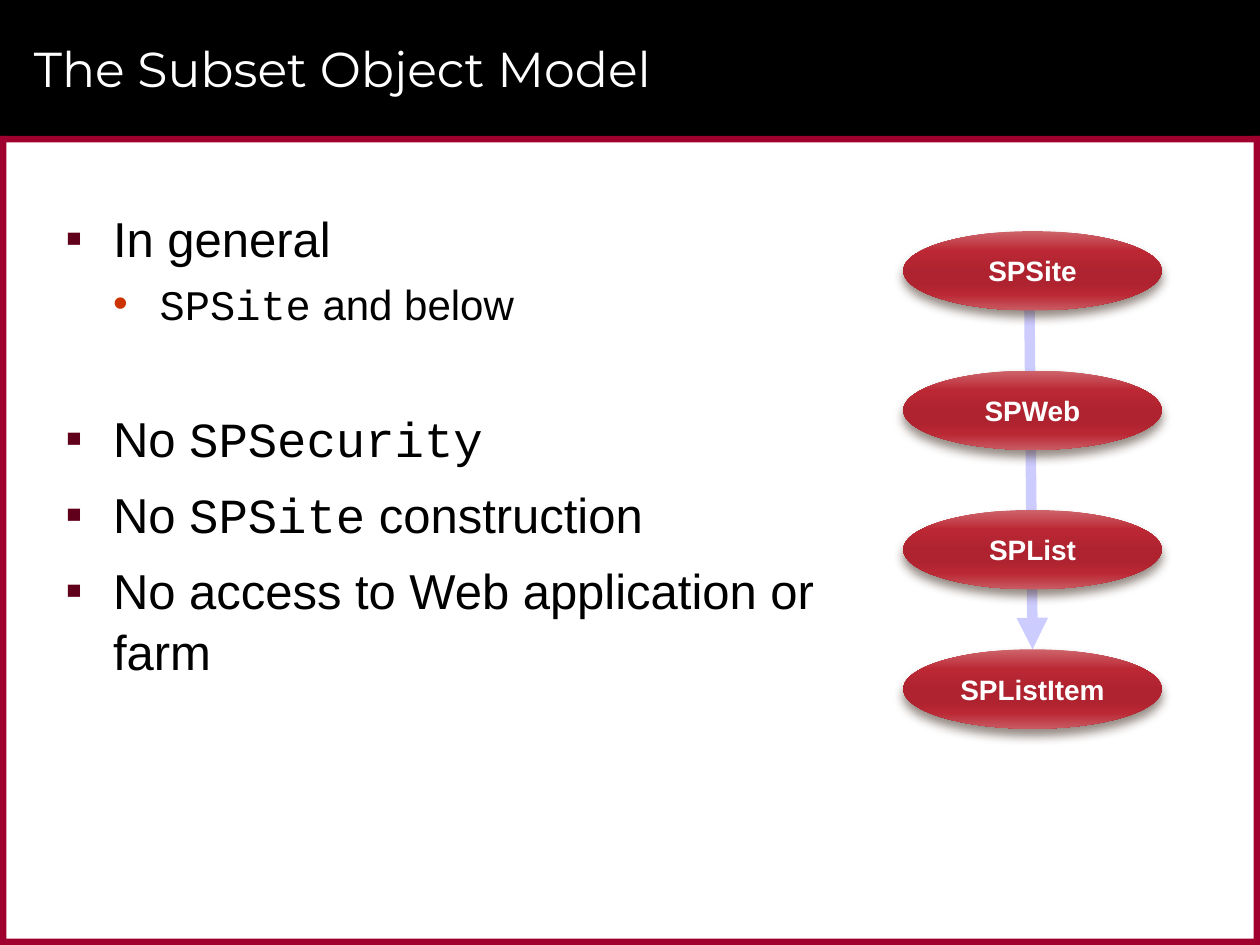
from lxml import etree
from pptx import Presentation
from pptx.dml.color import RGBColor
from pptx.enum import dml, shapes, text
from pptx.oxml import ns
from pptx.util import Cm, Pt

BLACK = RGBColor(0x00, 0x00, 0x00)
WHITE = RGBColor(0xFF, 0xFF, 0xFF)
CRIMSON = RGBColor(0x9F, 0x00, 0x2D)
MAROON = RGBColor(0x60, 0x00, 0x1B)
ORANGE = RGBColor(0xCC, 0x33, 0x00)
LAVENDER = RGBColor(0xCC, 0xCC, 0xFF)
SHADOW = RGBColor(0x4E, 0x3B, 0x30)

TITLE = "The Subset Object Model"
SANS, CODE, TITLE_FONT = "Arial", "Courier New", "Montserrat"

# level, space before in points, runs as (words, font)
BULLETS = [
    (0, 0, [("In general", SANS)]),
    (1, 3, [("SPSite", CODE), (" and below", SANS)]),
    (0, 41, [("No ", SANS), ("SPSecurity", CODE)]),
    (0, 6, [("No ", SANS), ("SPSite", CODE), (" construction", SANS)]),
    (0, 6, [("No access to Web application or farm", SANS)]),
]
# bullet, colour, left margin, hanging indent, size, space after
LEVELS = [
    ("▪", MAROON, Cm(0.96), Cm(0.96), Pt(28), Pt(2)),
    ("•", ORANGE, Cm(1.9), Cm(0.94), Pt(24), Pt(3)),
]
OBJECTS = ["SPSite", "SPWeb", "SPList", "SPListItem"]
GRADIENT = [(0, "CE646B"), (25, "BB2834"), (50, "AE232F"),
            (65, "AE232F"), (80, "BA2834"), (100, "C95B63")]

WIDTH, HEIGHT = Cm(25.4), Cm(19.05)
HEADER, BORDER = Cm(2.74), Cm(0.13)
FRAME = [
    (0, 0, WIDTH, HEADER, BLACK),
    (0, HEADER, WIDTH, BORDER, CRIMSON),
    (0, HEIGHT - BORDER, WIDTH, BORDER, CRIMSON),
    (WIDTH - BORDER, HEADER, BORDER, HEIGHT - HEADER, CRIMSON),
    (0, HEADER, BORDER, HEIGHT - HEADER, CRIMSON),
]
OVAL_LEFT, OVAL_TOP, OVAL_STEP = Cm(18.21), Cm(4.66), Cm(2.81)
OVAL_WIDTH, OVAL_HEIGHT = Cm(5.21), Cm(1.6)


def add_xml(parent, tag, **attributes):
    return etree.SubElement(parent, ns.qn(tag), attributes)


def style(font, name, size, color, bold=False):
    font.name, font.size, font.bold = name, size, bold
    font.color.rgb = color


def add_frame(slide):
    """Put the header band and borders behind the title."""
    for index, (left, top, width, height, color) in enumerate(FRAME):
        band = slide.shapes.add_shape(shapes.MSO_SHAPE.RECTANGLE, left, top, width, height)
        band.shadow.inherit = False
        band.fill.solid()
        band.fill.fore_color.rgb = color
        band.line.fill.background()
        slide.shapes._spTree.insert(2 + index, band._element)


def add_title(slide):
    title = slide.shapes.title
    title.left, title.top, title.width, title.height = Cm(0.43), Cm(0.2), Cm(23.93), Cm(2.34)
    frame = title.text_frame
    frame.text = TITLE
    frame.vertical_anchor = text.MSO_ANCHOR.MIDDLE
    paragraph = frame.paragraphs[0]
    paragraph.alignment = text.PP_ALIGN.LEFT
    style(paragraph.runs[0].font, TITLE_FONT, Pt(28), WHITE)


def add_bullets(slide):
    frame = slide.shapes.add_textbox(Cm(1.07), Cm(4.01), Cm(17.15), Cm(14.4)).text_frame
    frame.word_wrap = True
    for index, (level, before, runs) in enumerate(BULLETS):
        bullet, color, margin, hanging, size, after = LEVELS[level]
        paragraph = frame.add_paragraph() if index else frame.paragraphs[0]
        paragraph.level = level
        paragraph.line_spacing = 1.05
        paragraph.space_before, paragraph.space_after = Pt(before), after
        properties = paragraph._p.get_or_add_pPr()
        properties.set("marL", str(margin))
        properties.set("indent", str(-hanging))
        add_xml(add_xml(properties, "a:buClr"), "a:srgbClr", val=str(color))
        add_xml(properties, "a:buFont", typeface=SANS)
        add_xml(properties, "a:buChar", char=bullet)
        for words, font_name in runs:
            run = paragraph.add_run()
            run.text = words
            style(run.font, font_name, size, BLACK)


def add_arrow(slide):
    arrow = slide.shapes.add_connector(
        shapes.MSO_CONNECTOR.STRAIGHT, Cm(20.75), Cm(5.92), Cm(20.8), Cm(13.08))
    arrow.line.color.rgb = LAVENDER
    arrow.line.width = Pt(6)
    add_xml(arrow.line._get_or_add_ln(), "a:tailEnd", type="triangle")
    add_xml(arrow._element.spPr, "a:effectLst")
    return arrow


def add_oval(slide, name, top):
    oval = slide.shapes.add_shape(
        shapes.MSO_SHAPE.OVAL, OVAL_LEFT, top, OVAL_WIDTH, OVAL_HEIGHT)
    oval.line.fill.background()
    oval.fill.gradient()
    oval.fill.gradient_angle = 270
    properties = oval._element.spPr
    stops = properties.find(".//" + ns.qn("a:gsLst"))
    for stop in list(stops):
        stops.remove(stop)
    for percent, color in GRADIENT:
        stop = add_xml(stops, "a:gs", pos=str(percent * 1000))
        add_xml(stop, "a:srgbClr", val=color)

    oval.shadow.inherit = False
    shadow = add_xml(properties.find(ns.qn("a:effectLst")), "a:outerShdw",
                     blurRad=str(Pt(6)), dist=str(Pt(4)), dir="5400000", rotWithShape="0")
    shadow_color = add_xml(shadow, "a:srgbClr", val=str(SHADOW))
    add_xml(shadow_color, "a:alpha", val="60000")

    frame = oval.text_frame
    frame.text = name
    frame.word_wrap = False
    frame.vertical_anchor = text.MSO_ANCHOR.MIDDLE
    paragraph = frame.paragraphs[0]
    paragraph.alignment = text.PP_ALIGN.CENTER
    style(paragraph.runs[0].font, SANS, Pt(16), WHITE, bold=True)
    return oval


def main():
    presentation = Presentation()
    presentation.slide_width, presentation.slide_height = WIDTH, HEIGHT
    slide = presentation.slides.add_slide(presentation.slide_layouts[5])
    add_frame(slide)
    add_title(slide)
    add_bullets(slide)
    arrow = add_arrow(slide)
    ovals = [add_oval(slide, name, OVAL_TOP + index * OVAL_STEP)
             for index, name in enumerate(OBJECTS)]
    arrow.end_connect(ovals[-1], 0)
    presentation.save("out.pptx")


if __name__ == "__main__":
    main()
